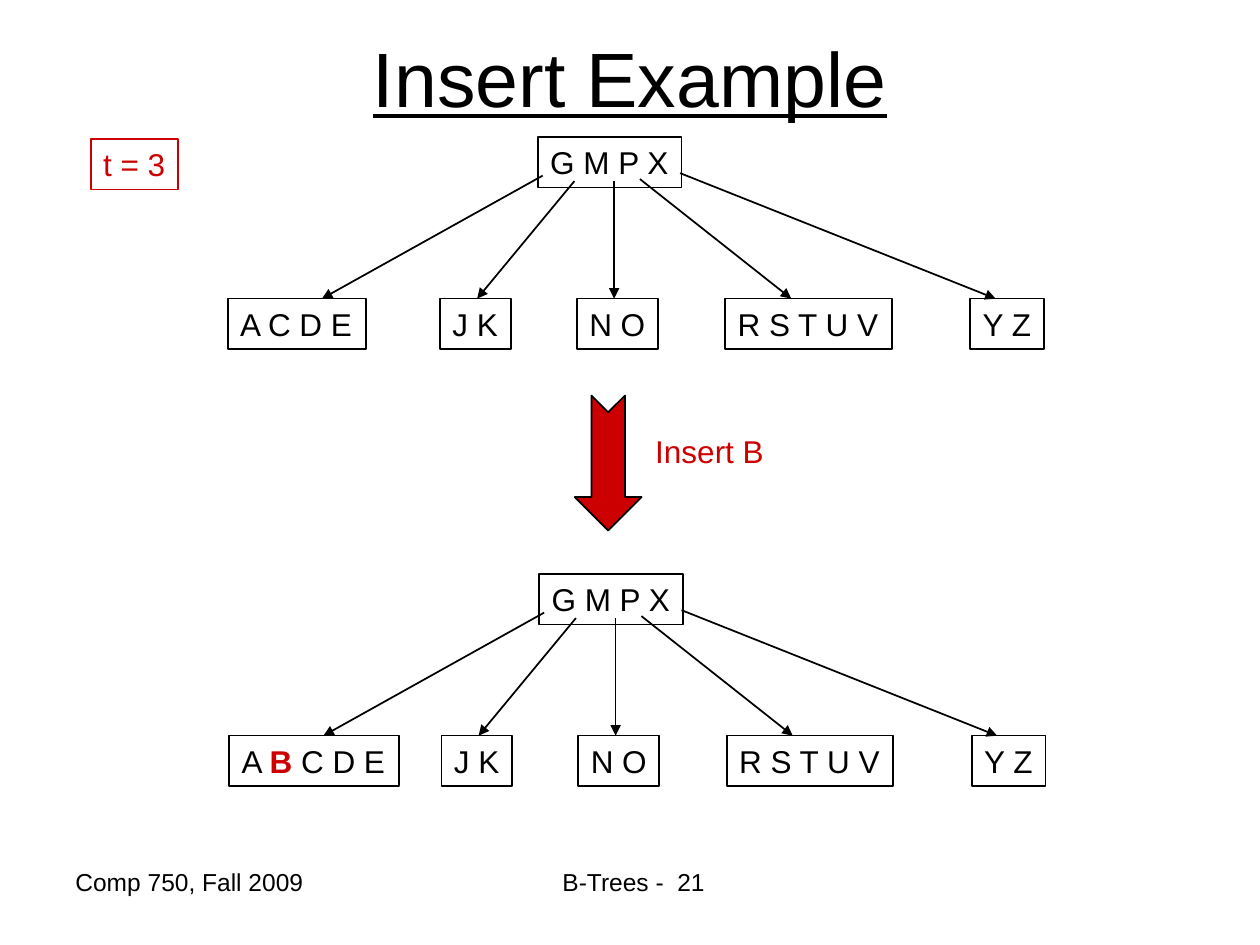
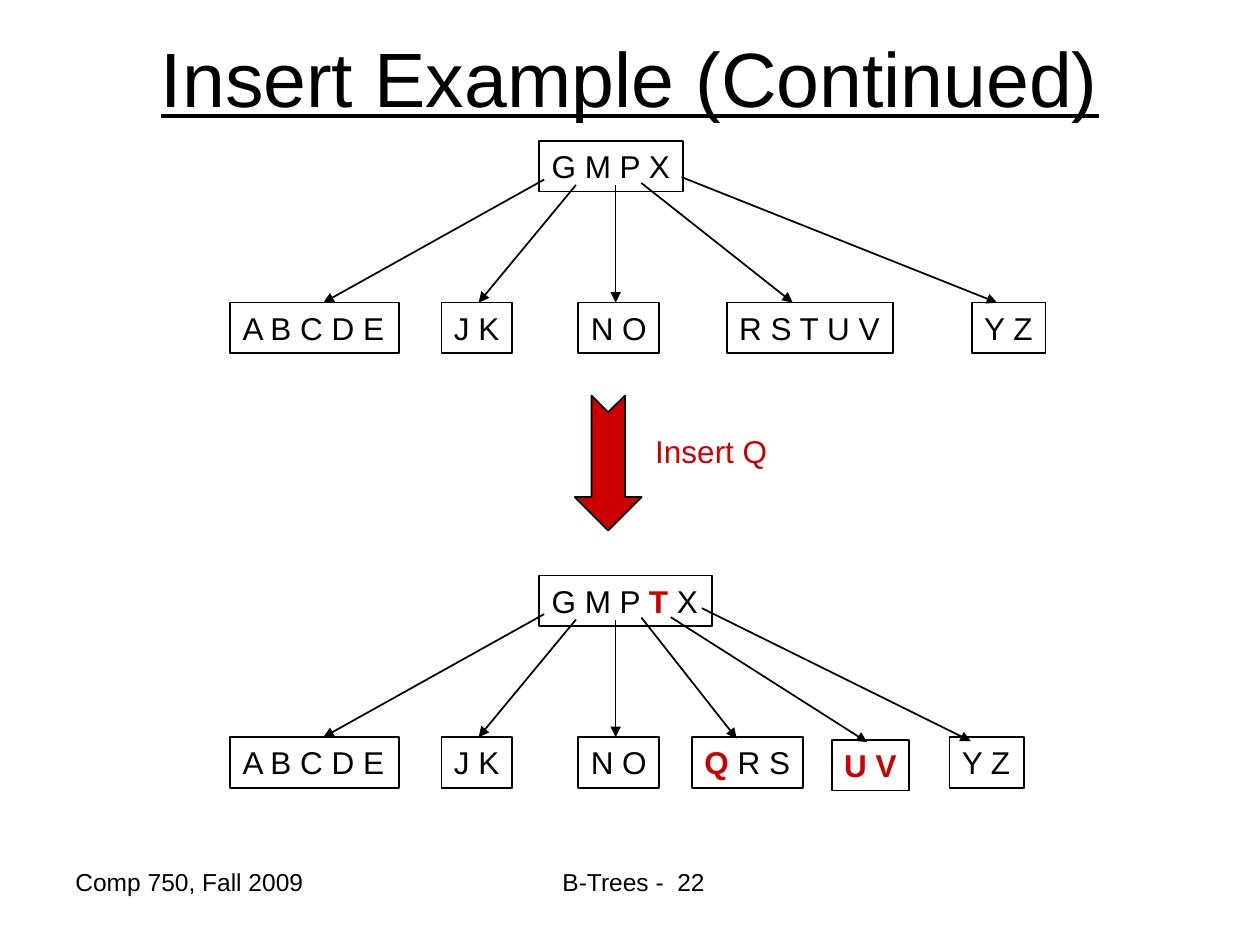
from collections import namedtuple
from dataclasses import dataclass

from lxml.etree import SubElement
from pptx import Presentation
from pptx.dml.color import RGBColor as Rgb
from pptx.enum.shapes import MSO_CONNECTOR as Connector, MSO_SHAPE as Preset
from pptx.enum.text import MSO_ANCHOR as Anchor, MSO_AUTO_SIZE as AutoSize, PP_ALIGN as Align
from pptx.oxml.ns import qn
from pptx.util import Cm, Pt


@dataclass(frozen=True)
class Theme:
    ink: Rgb = Rgb(0x00, 0x00, 0x00)
    accent: Rgb = Rgb(0xCC, 0x00, 0x00)
    font: str = "Arial"
    title: Pt = Pt(44)
    keys: Pt = Pt(18)
    footer: Pt = Pt(14)
    stroke: Pt = Pt(1)


theme = Theme()
Leaf = namedtuple("Leaf", "keys left width start_x start_y tip_x drop tip_drop", defaults=(0, 0))
Tree = namedtuple("Tree", "left top keys width leaves")

NODE_HEIGHT = 1.02
LEVEL_GAP = 3.26
FIXED = {"word_wrap": True, "auto_size": AutoSize.NONE, "vertical_anchor": Anchor.TOP}
ONE_LINE = {**FIXED, "margin_right": Cm(0)}
HEADING = {**FIXED, "vertical_anchor": Anchor.MIDDLE}


def write(shape, text, size, frame_format, color=theme.ink, align=Align.LEFT, underline=False):
    frame = shape.text_frame
    for name, value in frame_format.items():
        setattr(frame, name, value)
    paragraph = frame.paragraphs[0]
    paragraph.alignment = align
    for index, part in enumerate(text.split("*")):
        if not part:
            continue
        changed = index % 2 == 1
        run = paragraph.add_run()
        run.text = part
        run_format = {"name": theme.font, "size": size, "bold": changed, "underline": underline}
        for name, value in run_format.items():
            setattr(run.font, name, value)
        run.font.color.rgb = theme.accent if changed else color


def add_node(slide, keys, left, top, width, color=theme.ink):
    node = slide.shapes.add_shape(Preset.RECTANGLE, Cm(left), Cm(top), Cm(width), Cm(NODE_HEIGHT))
    node.shadow.inherit = False
    node.fill.background()
    node.line.color.rgb = color
    node.line.width = theme.stroke
    write(node, keys, theme.keys, ONE_LINE, color)


a_to_e = Leaf("A B C D E", -6.23, 3.4, 0.1, 0.78, -4.35)
a_without_b = a_to_e._replace(keys="A C D E", left=-6.25, width=2.79)
a_with_new_b = a_to_e._replace(keys="A *B* C D E", left=-6.25, width=3.43)
j_k = Leaf("J K", -1.97, 1.43, 0.74, 0.89, -1.22)
n_o = Leaf("N O", 0.79, 1.63, 1.54, 0.89, 1.54)
r_to_v = Leaf("R S T U V", 3.78, 3.36, 2.06, 0.85, 5.11)
y_z = Leaf("Y Z", 8.72, 1.49, 2.87, 0.73, 9.23)
q_to_s = Leaf("*Q* R S", 3.08, 2.24, 2.06, 0.85, 3.98, tip_drop=0.03)
u_v = Leaf("*U V*", 5.9, 1.56, 2.65, 0.84, 6.61, drop=0.06, tip_drop=0.1)
y_z_moved = Leaf("Y Z", 8.27, 1.5, 3.28, 0.66, 8.7, tip_drop=0.08)

middle = [j_k, n_o]
steps = [
    ("Insert Example", "Insert B", 21, [
        Tree(10.84, 2.76, "G M P X", 2.9, [a_without_b, *middle, r_to_v, y_z]),
        Tree(10.87, 11.57, "G M P X", 2.9, [a_with_new_b, *middle, r_to_v, y_z]),
    ]),
    ("Insert Example (Continued)", "Insert Q", 22, [
        Tree(10.87, 2.84, "G M P X", 2.9, [a_to_e, *middle, r_to_v, y_z]),
        Tree(10.87, 11.6, "G M P *T* X", 3.48, [a_to_e, *middle, q_to_s, u_v, y_z_moved]),
    ]),
]

deck = Presentation()
deck.slide_width, deck.slide_height = Cm(25.4), Cm(19.05)

for heading, insertion, number, trees in steps:
    slide = deck.slides.add_slide(deck.slide_layouts[5])
    title = slide.shapes.title
    title_place = {"left": Cm(1.27), "top": Cm(0.76), "width": Cm(22.86), "height": Cm(1.57)}
    for name, value in title_place.items():
        setattr(title, name, value)
    write(title, heading, theme.title, HEADING, align=Align.CENTER, underline=True)

    for text, left, width, align in [
        ("Comp 750, Fall 2009", 1.27, 5.92, Align.LEFT),
        (f"B-Trees -  {number}", 8.75, 8.05, Align.CENTER),
    ]:
        footer = slide.shapes.add_textbox(Cm(left), Cm(17.35), Cm(width), Cm(1.32))
        write(footer, text, theme.footer, FIXED, align=align)

    for tree in trees:
        add_node(slide, tree.keys, tree.left, tree.top, tree.width)
        leaf_top = tree.top + LEVEL_GAP
        for leaf in tree.leaves:
            add_node(slide, leaf.keys, tree.left + leaf.left, leaf_top + leaf.drop, leaf.width)
            pointer = slide.shapes.add_connector(
                Connector.STRAIGHT,
                Cm(tree.left + leaf.start_x), Cm(tree.top + leaf.start_y),
                Cm(tree.left + leaf.tip_x), Cm(leaf_top + leaf.tip_drop),
            )
            pointer.line.color.rgb = theme.ink
            pointer.line.width = theme.stroke
            properties = pointer.element.spPr
            SubElement(properties.find(qn("a:ln")), qn("a:tailEnd"), type="triangle")
            SubElement(properties, qn("a:effectLst"))

    step_arrow = slide.shapes.add_shape(
        Preset.NOTCHED_RIGHT_ARROW, Cm(10.9), Cm(8.66), Cm(2.72), Cm(1.35))
    step_arrow.rotation = 90
    step_arrow.shadow.inherit = False
    step_arrow.fill.solid()
    step_arrow.fill.fore_color.rgb = theme.accent
    step_arrow.line.color.rgb = theme.ink
    step_arrow.line.width = theme.stroke

    step_label = slide.shapes.add_textbox(Cm(12.96), Cm(8.59), Cm(2.77), Cm(NODE_HEIGHT))
    write(step_label, insertion, theme.keys, ONE_LINE, theme.accent)

add_node(deck.slides[0], "t = 3", 1.83, 2.8, 1.76, theme.accent)

deck.save("out.pptx")
